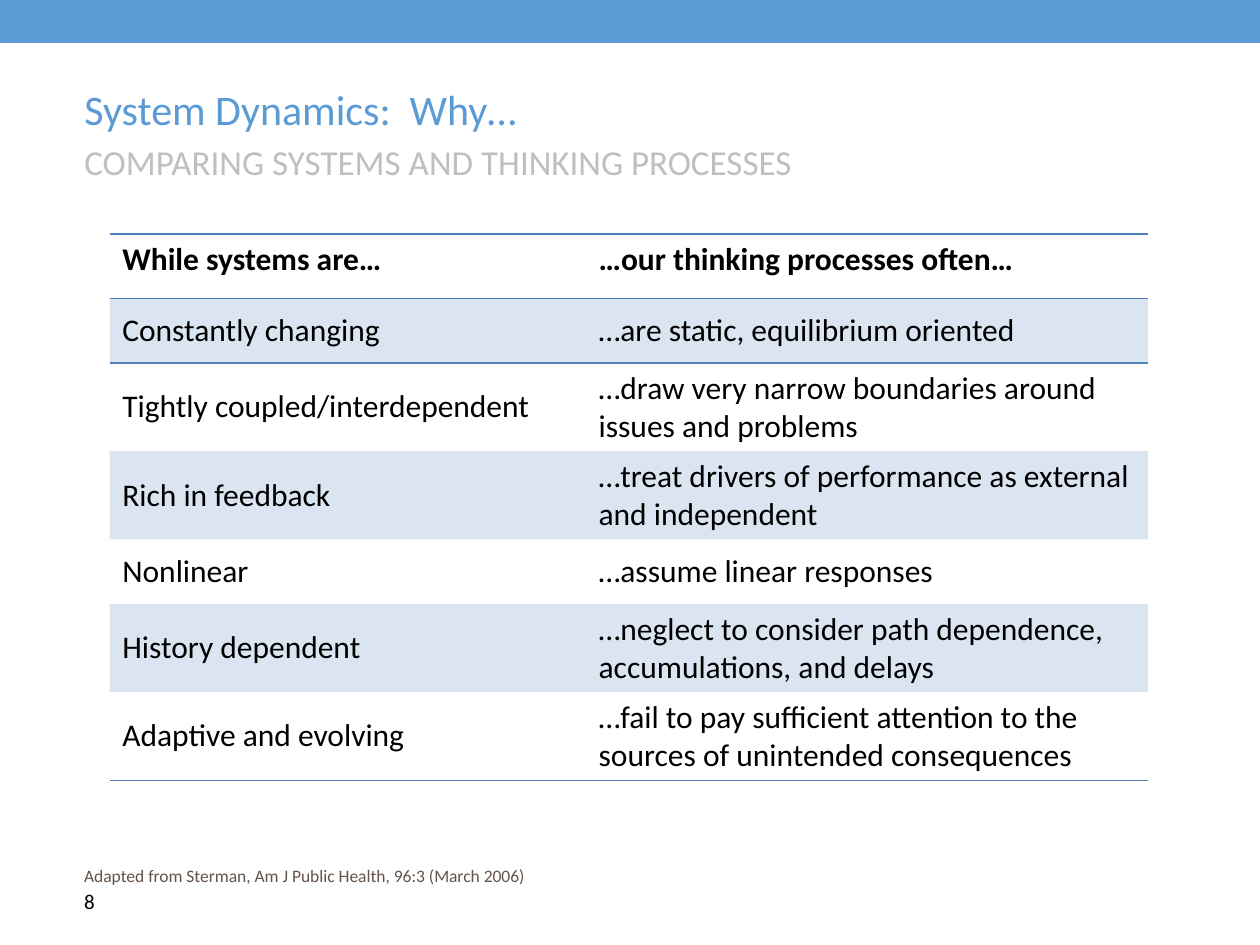
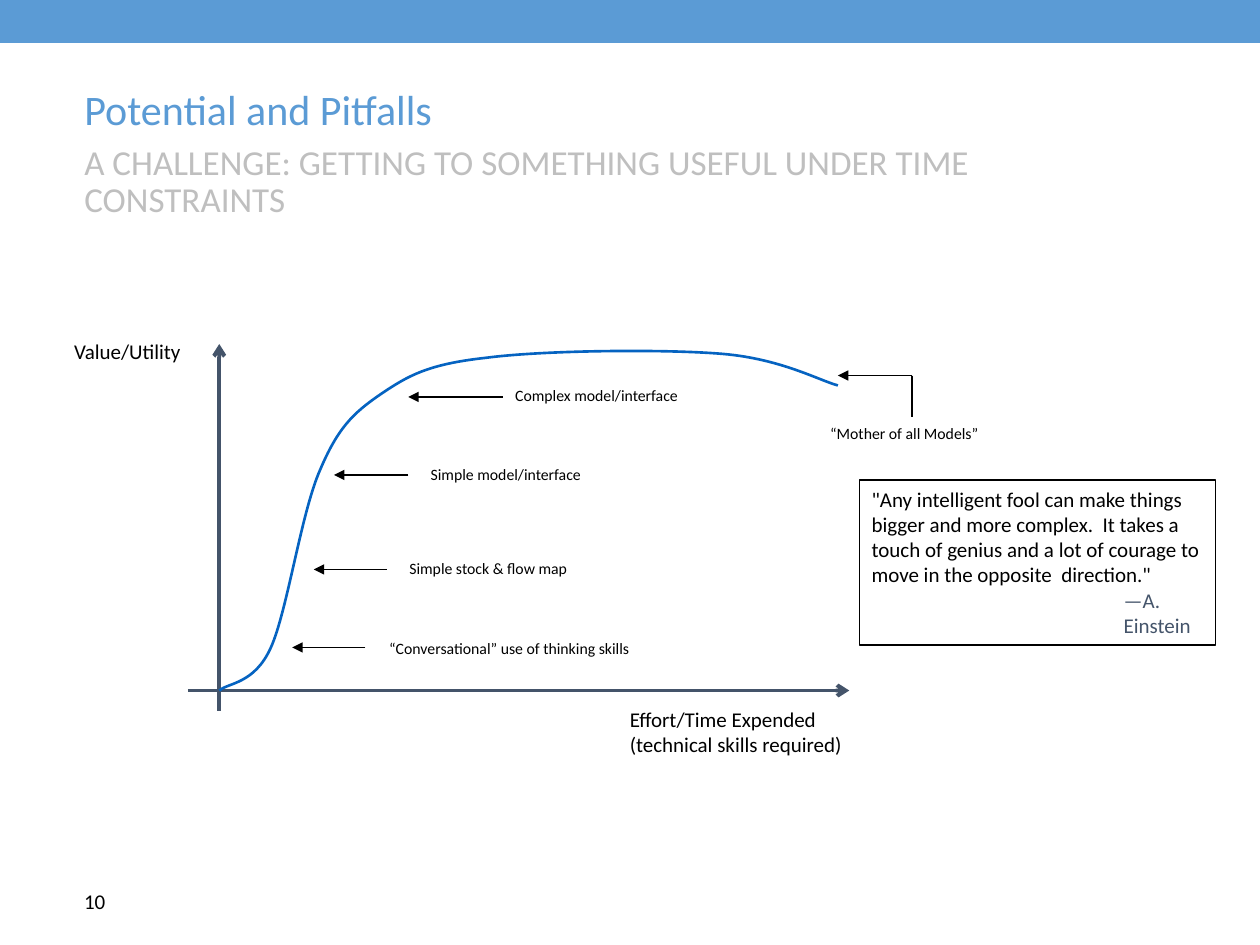
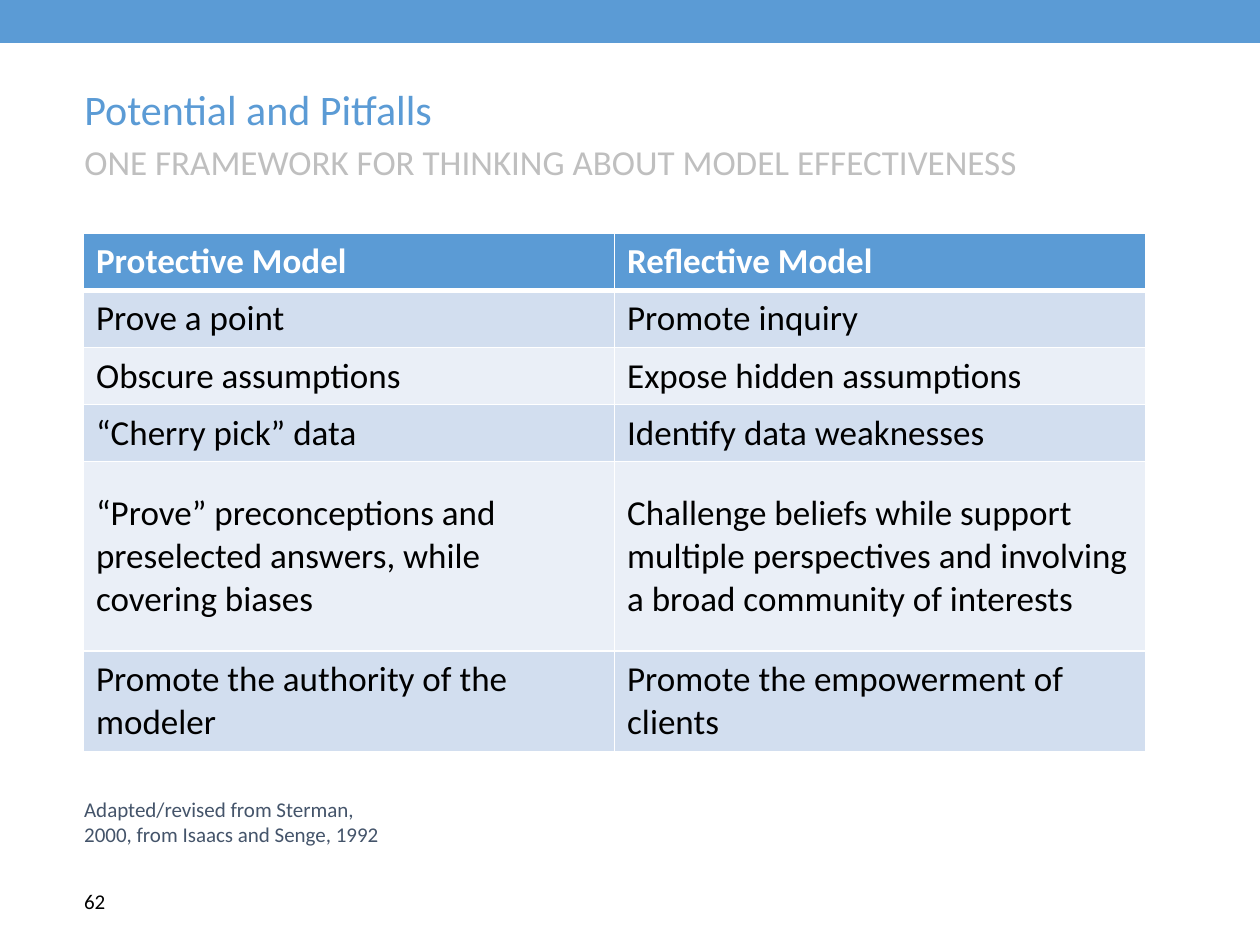
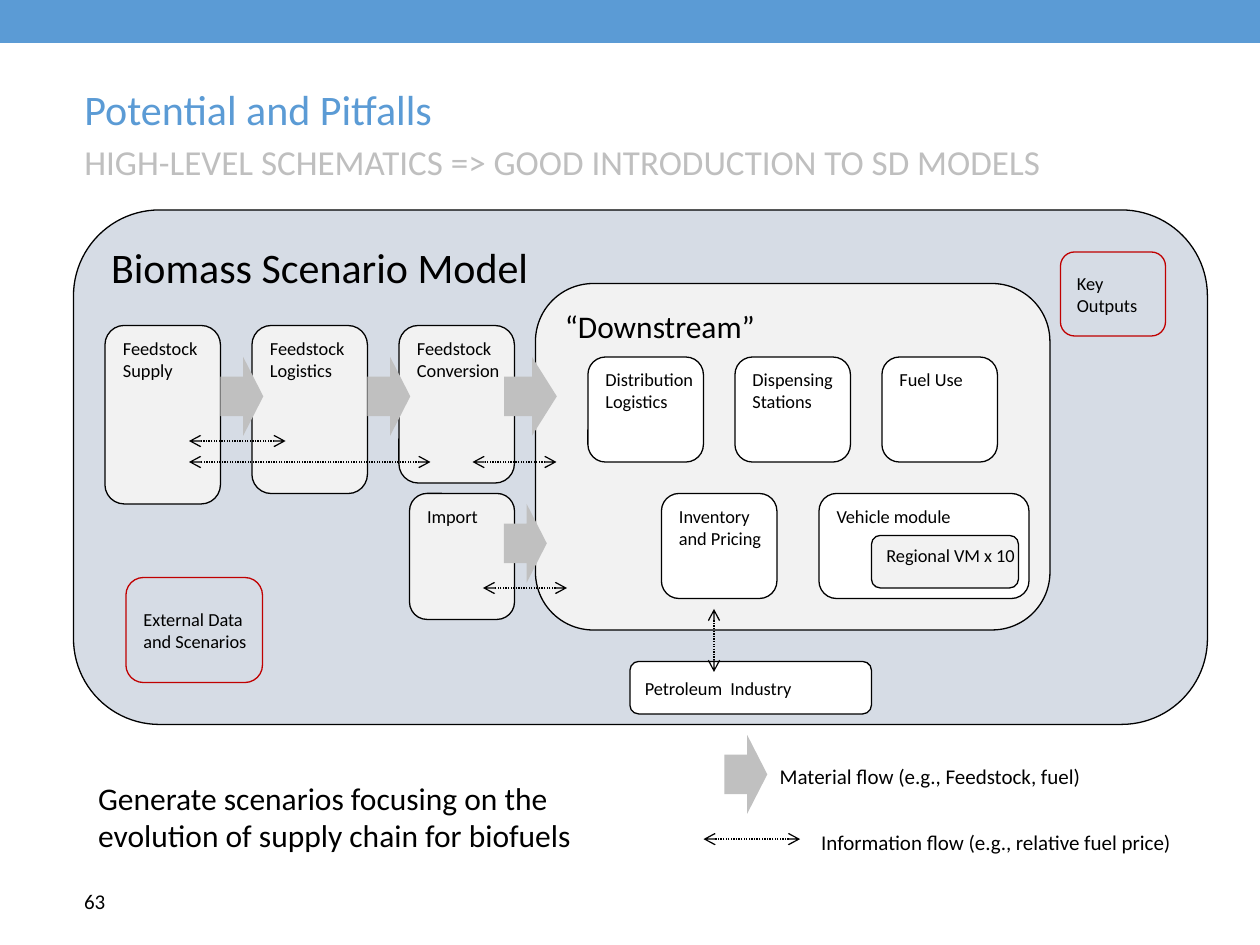
from dataclasses import dataclass

from lxml.etree import SubElement
from pptx import Presentation
from pptx.dml.color import RGBColor
from pptx.enum.dml import MSO_LINE
from pptx.enum.shapes import MSO_CONNECTOR, MSO_SHAPE
from pptx.enum.text import MSO_ANCHOR, MSO_AUTO_SIZE, PP_ALIGN
from pptx.oxml.ns import qn
from pptx.util import Pt


@dataclass(frozen=True)
class Theme:
    font: str = "Calibri"
    accent: str = "5B9BD5"
    muted: str = "BFBFBF"
    ink: str = "000000"
    paper: str = "FFFFFF"
    slate: str = "44546A"
    source: str = "645348"
    curve: str = "0563C1"
    rule: str = "4F81BD"
    band_dark: str = "D2DEEF"
    band_light: str = "EAEFF7"
    model: str = "D6DCE5"
    module: str = "F2F2F2"
    external: str = "C00000"
    flow: str = "C0C0C0"
    title: float = 24
    subtitle: float = 20
    large: float = 18
    normal: float = 12
    box: float = 10.5
    small: float = 10
    callout: float = 9


THEME = Theme()
LEFT = 41
NO_STYLE = "{2D5ABB26-0587-4C30-8999-92F81FD0307C}"


def apply(target, values):
    for name, value in values.items():
        setattr(target, name, value)


def color(code):
    return RGBColor.from_string(code)


def points(*values):
    return [Pt(value) for value in values]


def place(part, area):
    apply(part, dict(zip(("left", "top", "width", "height"), points(*area))))


def write(frame, text, size, ink=THEME.ink, bold=False, **layout):
    apply(frame, layout)
    frame.text = text
    for paragraph in frame.paragraphs:
        paragraph.alignment = PP_ALIGN.LEFT
        apply(paragraph.font, {"name": THEME.font, "size": Pt(size), "bold": bold})
        paragraph.font.color.rgb = color(ink)


def add_label(slide, text, area, size, ink=THEME.ink, wrap=False):
    label = slide.shapes.add_textbox(*points(*area))
    write(label.text_frame, text, size, ink, word_wrap=wrap,
          auto_size=MSO_AUTO_SIZE.SHAPE_TO_FIT_TEXT)


def add_block(slide, kind, area, fill=None, outline=None, adjustments=()):
    block = slide.shapes.add_shape(kind, *points(*area))
    block.shadow.inherit = False
    for index, value in enumerate(adjustments):
        block.adjustments[index] = value
    if fill:
        block.fill.solid()
        block.fill.fore_color.rgb = color(fill)
    else:
        block.fill.background()
    if outline:
        block.line.color.rgb = color(outline)
        block.line.width = Pt(0.75)
    else:
        block.line.fill.background()
    return block


def add_module(slide, text, area, fill=THEME.paper, outline=THEME.ink,
               size=THEME.box, anchor=MSO_ANCHOR.TOP):
    module = add_block(slide, MSO_SHAPE.ROUNDED_RECTANGLE, area, fill, outline, (0.167,))
    write(module.text_frame, text, size, word_wrap=False, vertical_anchor=anchor)


def add_line(slide, start, end, ink=THEME.ink, width=1, head=None, tail=None, dash=None):
    line = slide.shapes.add_connector(MSO_CONNECTOR.STRAIGHT, *points(*start, *end))
    line.line.color.rgb = color(ink)
    apply(line.line, {"width": Pt(width), "dash_style": dash})
    outline = line.line._get_or_add_ln()
    for tag, arrow in (("a:headEnd", head), ("a:tailEnd", tail)):
        if arrow:
            SubElement(outline, qn(tag), type=arrow)
    SubElement(line._element.spPr, qn("a:effectLst"))


def add_material_flow(slide, left, top, width=24.5):
    add_block(slide, MSO_SHAPE.RIGHT_ARROW, (left, top, width, 45), THEME.flow,
              adjustments=(0.5, 0.469))


def add_information_flow(slide, start, end):
    add_line(slide, start, end, width=0.75, head="arrow", tail="arrow",
             dash=MSO_LINE.ROUND_DOT)


def add_curve(slide, start, bends):
    builder = slide.shapes.build_freeform(*points(*start))
    builder.add_line_segments([points(*bend) for bend in bends], close=False)
    curve = builder.convert_to_shape()
    curve.shadow.inherit = False
    curve.fill.background()
    curve.line.color.rgb = color(THEME.curve)
    curve.line.width = Pt(1.5)
    steps = list(curve._element.iter(qn("a:lnTo")))
    for first in range(0, len(steps), 3):
        bezier = SubElement(steps[first].getparent(), qn("a:cubicBezTo"))
        for step in steps[first:first + 3]:
            bezier.append(step[0])
            step.getparent().remove(step)


def set_borders(cell, borders):
    properties = cell._tc.get_or_add_tcPr()
    for side in "LRTB":
        if side in borders:
            ink, width = borders[side]
            edge = SubElement(properties, qn(f"a:ln{side}"), w=str(Pt(width)))
            fill = SubElement(edge, qn("a:solidFill"))
            SubElement(fill, qn("a:srgbClr"), val=ink)


def set_fill(cell, fill, alpha=None):
    if not fill:
        cell.fill.background()
        return
    cell.fill.solid()
    cell.fill.fore_color.rgb = color(fill)
    if alpha:
        tone = next(cell._tc.tcPr.find(qn("a:solidFill")).iter(qn("a:srgbClr")))
        SubElement(tone, qn("a:alpha"), val=str(alpha * 1000))


def add_comparison(slide, corner, widths, heights, rows, size, style):
    area = (*corner, sum(widths), sum(heights))
    table = slide.shapes.add_table(len(rows), len(widths), *points(*area)).table
    apply(table, {"first_row": False, "horz_banding": False})
    table._tbl.tblPr.find(qn("a:tableStyleId")).text = NO_STYLE
    for column, width in zip(table.columns, widths):
        column.width = Pt(width)
    for index, (height, texts) in enumerate(zip(heights, rows)):
        table.rows[index].height = Pt(height)
        fill, ink, borders = style(index, len(rows) - 1)
        for cell, text in zip(table.rows[index].cells, texts):
            write(cell.text_frame, text, size, ink, bold=index == 0)
            cell.vertical_anchor = MSO_ANCHOR.MIDDLE if index else MSO_ANCHOR.TOP
            set_borders(cell, borders)
            set_fill(cell, *fill)


def ruled_style(index, last):
    rule = (THEME.rule, 1)
    borders = {}
    if index <= 1:
        borders["T"] = rule
    if index in (0, last):
        borders["B"] = rule
    return ((THEME.rule, 20) if index % 2 else (None,)), THEME.ink, borders


def banded_style(index, last):
    borders = dict.fromkeys("LRTB", (THEME.paper, 1))
    if index == 0:
        borders["B"] = (THEME.paper, 3)
        return (THEME.accent,), THEME.paper, borders
    if index == 1:
        borders["T"] = (THEME.paper, 3)
    return (THEME.band_dark if index % 2 else THEME.band_light,), THEME.ink, borders


def add_master_band(deck, slide):
    band = add_block(slide, MSO_SHAPE.RECTANGLE, (0, 0, 720, 24.5), THEME.accent)
    deck.slide_master.shapes.element.insert(2, band._element)


def start_slide(deck, heading, subheading, number):
    slide = deck.slides.add_slide(deck.slide_layouts[1])
    title, subtitle = slide.shapes.title, slide.placeholders[1]
    place(title, (LEFT, 43.2, 638.6, 41.8))
    place(subtitle, (LEFT, 79.2, 638.6, 32.4))
    write(title.text_frame, heading, THEME.title, THEME.accent,
          auto_size=MSO_AUTO_SIZE.NONE, vertical_anchor=MSO_ANCHOR.MIDDLE)
    write(subtitle.text_frame, subheading, THEME.subtitle, THEME.muted,
          auto_size=MSO_AUTO_SIZE.NONE, vertical_anchor=MSO_ANCHOR.TOP)
    title.text_frame.paragraphs[0].line_spacing = 0.9
    paragraph = subtitle.text_frame.paragraphs[0]
    apply(paragraph, {"line_spacing": 0.9, "space_before": Pt(12)})
    properties = paragraph._p.get_or_add_pPr()
    for name in ("marL", "indent"):
        properties.set(name, "0")
    SubElement(properties, qn("a:buNone"))
    page = slide.shapes.add_textbox(*points(LEFT, 500.4, 90.7, 28.8))
    write(page.text_frame, number, THEME.normal, word_wrap=True,
          vertical_anchor=MSO_ANCHOR.MIDDLE)
    return slide


def build_thinking(deck):
    slide = start_slide(deck, "System Dynamics:  Why…",
                        "COMPARING SYSTEMS AND THINKING PROCESSES", "8")
    add_master_band(deck, slide)
    rows = [
        ("While systems are…", "…our thinking processes often…"),
        ("Constantly changing", "…are static, equilibrium oriented"),
        ("Tightly coupled/interdependent",
         "…draw very narrow boundaries around issues and problems"),
        ("Rich in feedback",
         "…treat drivers of performance as external and independent"),
        ("Nonlinear", "…assume linear responses"),
        ("History dependent",
         "…neglect to consider path dependence, accumulations, and delays"),
        ("Adaptive and evolving",
         "…fail to pay sufficient attention to the sources of unintended consequences"),
    ]
    single, double = 36.8, 50.4
    add_comparison(slide, (62.7, 133.8), (272.2, 321.1),
                   (single, single, double, double, single, double, double),
                   rows, THEME.large, ruled_style)
    add_label(slide, "Adapted from Sterman, Am J Public Health, 96:3 (March 2006)",
              (LEFT, 491, 270, 19.4), THEME.small, THEME.source)


def build_effort_curve(deck):
    slide = start_slide(deck, "Potential and Pitfalls",
                        "A CHALLENGE: GETTING TO SOMETHING USEFUL UNDER TIME CONSTRAINTS",
                        "10")
    origin = (125.3, 394.6)
    axis = {"ink": THEME.slate, "width": 2.25}
    add_line(slide, (origin[0], 196.6), (origin[0], 406.1), head="arrow", **axis)
    add_line(slide, (107.3, origin[1]), (485.3, origin[1]), tail="arrow", **axis)
    add_label(slide, "Value/Utility", (35.3, 190.1, 78.5, 21.6), THEME.normal)
    add_label(slide, "Effort/Time Expended\n(technical skills required)",
              (352.8, 400.3, 136.8, 36), THEME.normal)
    add_curve(slide, origin, [
        (130.3, 390.2), (145.4, 391), (154.8, 370.1),
        (164.2, 349.2), (172.1, 293), (182.9, 268.6),
        (193, 244.8), (201.6, 236.2), (217.4, 225.4),
        (233.3, 214.6), (244.8, 208.1), (277.9, 204.5),
        (310.3, 200.2), (379.4, 199.4), (413.3, 202.3),
        (446.4, 205.2), (468, 217.4), (478.8, 220.3),
    ])
    callouts = [
        ("“Conversational” use of thinking skills", 208.8, 167, 370, 215.3, 361.4, 154),
        ("Simple stock & flow map", 221, 179.3, 325.4, 226.8, 316, 106),
        ("Simple model/interface", 233.3, 190.8, 271.4, 239, 262, 106),
        ("Complex model/interface", 287.3, 233.3, 226.8, 287.3, 216.7, 109),
        ("“Mother of all Models”", 521.3, 478.8, 214.6, 467.3, 238.3, 102),
    ]
    for text, start, end, level, left, top, width in callouts:
        add_line(slide, (start, level), (end, level), tail="triangle")
        add_label(slide, text, (left, top, width, 18), THEME.callout)
    add_line(slide, (521.3, 214.6), (521.3, 238.3))
    quote = add_block(slide, MSO_SHAPE.RECTANGLE, (491, 274.3, 203.8, 94.3),
                      outline=THEME.ink)
    write(quote.text_frame,
          '"Any intelligent fool can make things bigger and more complex.  It takes a '
          'touch of genius and a lot of courage to move in the opposite  direction."'
          "\n—A. Einstein",
          THEME.normal, word_wrap=True, vertical_anchor=MSO_ANCHOR.TOP,
          auto_size=MSO_AUTO_SIZE.SHAPE_TO_FIT_TEXT)
    author = quote.text_frame.paragraphs[1]
    author.level = 4
    author.font.color.rgb = color(THEME.slate)
    author._p.get_or_add_pPr().set("marL", str(Pt(144)))
    author._p.get_or_add_pPr().set("indent", "0")


def build_framework(deck):
    slide = start_slide(deck, "Potential and Pitfalls",
                        "ONE FRAMEWORK FOR THINKING ABOUT MODEL EFFECTIVENESS", "62")
    rows = [
        ("Protective Model", "Reflective Model"),
        ("Prove a point", "Promote inquiry"),
        ("Obscure assumptions", "Expose hidden assumptions"),
        ("“Cherry pick” data", "Identify data weaknesses"),
        ("“Prove” preconceptions and preselected answers, while covering biases",
         "Challenge beliefs while support multiple perspectives and involving a broad "
         "community of interests"),
        ("Promote the authority of the modeler", "Promote the empowerment of clients"),
    ]
    add_comparison(slide, (47.7, 133.4), (303.5, 303.5), (32.6,) * 4 + (108.3, 57.4),
                   rows, THEME.subtitle, banded_style)
    add_label(slide, "Adapted/revised from Sterman, 2000, from Isaacs and Senge, 1992",
              (LEFT, 451.4, 185.8, 36), THEME.normal, THEME.slate, wrap=True)


def build_schematic(deck):
    slide = start_slide(deck, "Potential and Pitfalls",
                        "HIGH-LEVEL SCHEMATICS => GOOD INTRODUCTION TO SD MODELS", "63")
    add_module(slide, "Biomass Scenario Model", (42, 120, 648, 294), THEME.model,
               size=THEME.title)
    add_module(slide, "“Downstream”", (306, 162, 294, 198), THEME.module,
               size=THEME.large)
    pitch = 84
    for index, stage in enumerate(("Supply", "Logistics", "Conversion")):
        add_module(slide, f"Feedstock\n{stage}",
                   (60 + index * pitch, 186, 66, 102 - index * 6), THEME.module)
    for index, text in enumerate(("Distribution\nLogistics", "Dispensing\nStations",
                                  "Fuel Use")):
        add_module(slide, text, (336 + index * pitch, 204, 66, 60))
    add_module(slide, "Import", (234, 282, 60, 72), THEME.module)
    add_module(slide, "Inventory\nand Pricing", (378, 282, 66, 60))
    add_module(slide, "Vehicle module", (468, 282, 120, 60))
    add_module(slide, "Regional VM x 10", (498, 306, 84, 30), THEME.module)
    add_module(slide, "Petroleum  Industry", (360, 378, 138, 30),
               anchor=MSO_ANCHOR.MIDDLE)
    for text, area in (("External Data\nand Scenarios", (72, 330, 78, 60)),
                       ("Key\nOutputs", (606, 144, 60, 48))):
        add_module(slide, text, area, None, THEME.external, anchor=MSO_ANCHOR.MIDDLE)

    for flow in ((126, 204), (210, 204), (288, 204, 30.2), (288, 288), (414, 420)):
        add_material_flow(slide, *flow)
    for start, end in (((163.2, 252), (108, 252)), ((246, 264), (108, 264)),
                       ((318, 264), (270, 264)), ((324, 336), (276, 336)),
                       ((408, 348), (408, 384)), ((457.2, 479.5), (402, 479.5))):
        add_information_flow(slide, start, end)

    add_label(slide, "Material flow (e.g., Feedstock, fuel)",
              (438.5, 432.7, 197.3, 21.6), THEME.normal, wrap=True)
    add_label(slide, "Information flow (e.g., relative fuel price)",
              (462.2, 470.2, 221.8, 21.6), THEME.normal, wrap=True)
    add_label(slide,
              "Generate scenarios focusing on the evolution of supply chain for biofuels",
              (49, 441.4, 335.5, 51), THEME.large, wrap=True)


def main():
    deck = Presentation()
    apply(deck, {"slide_width": Pt(720), "slide_height": Pt(540)})
    for build in (build_thinking, build_effort_curve, build_framework, build_schematic):
        build(deck)
    deck.save("out.pptx")


main()
